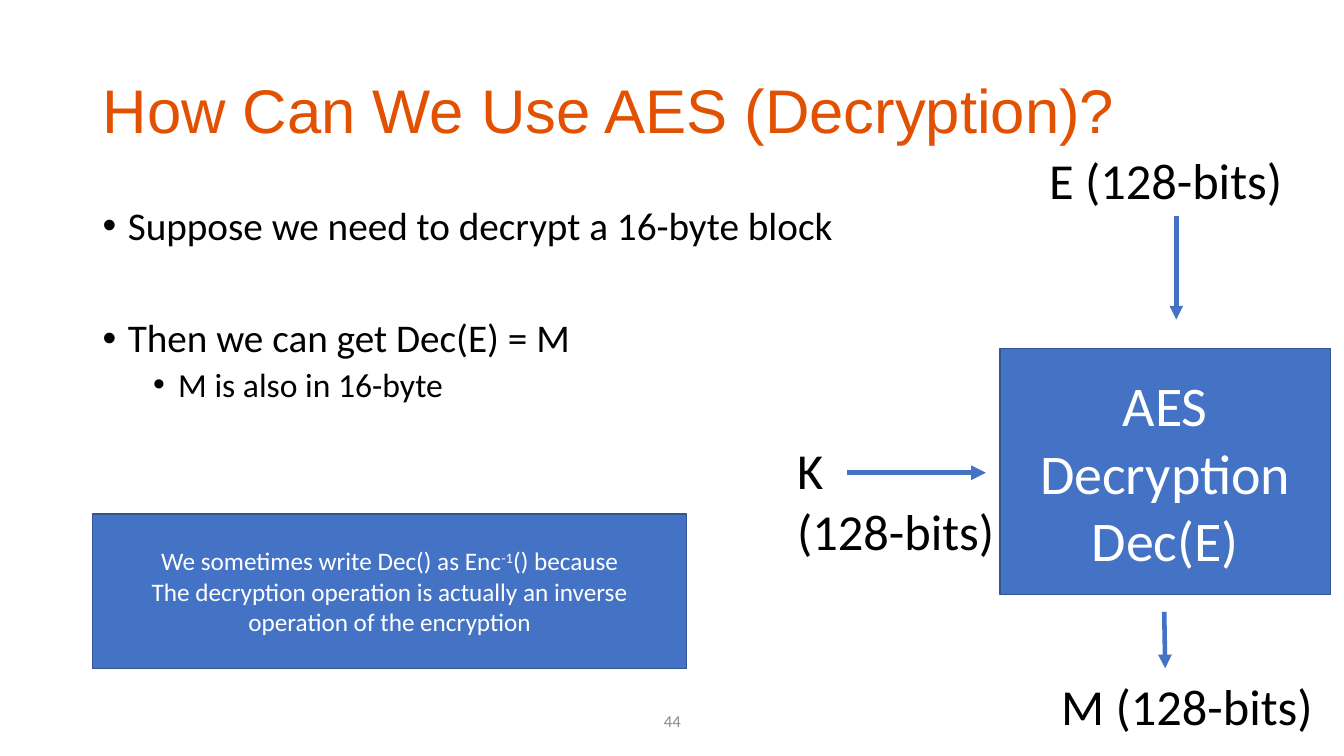
import pptx
import pptx.util
import pptx.dml.color
import pptx.enum.shapes
import pptx.enum.text
import pptx.oxml.ns
import lxml.etree

Pt = pptx.util.Pt
ALIGN = pptx.enum.text.PP_ALIGN
ANCHOR = pptx.enum.text.MSO_ANCHOR
qn = pptx.oxml.ns.qn
BLUE, BORDER, ORANGE = "4472C4", "325491", "E15101"


def color(hex_text):
    return pptx.dml.color.RGBColor.from_string(hex_text)


def write(frame, text, size=36, font="Calibri", ink="000000", align=ALIGN.LEFT,
          anchor=ANCHOR.TOP, wrap=True, spacing=None, before=None, bullet_indent=None):
    """Fill a frame, one paragraph per line; text between ^ marks is superscript."""
    frame.word_wrap = wrap
    frame.vertical_anchor = anchor
    for line in text.split("\n"):
        paragraph = frame.paragraphs[0]
        if paragraph.runs:
            paragraph = frame.add_paragraph()
        paragraph.alignment = align
        paragraph.line_spacing = spacing
        paragraph.space_before = before
        for index, part in enumerate(line.split("^")):
            run = paragraph.add_run()
            run.text = part
            run.font.size = Pt(size)
            run.font.name = font
            run.font.color.rgb = color(ink)
            if index % 2:
                run._r.get_or_add_rPr().set("baseline", "30000")
        if bullet_indent:
            properties = paragraph._p.get_or_add_pPr()
            properties.set("marL", str(Pt(bullet_indent)))
            properties.set("indent", str(-Pt(18)))
            lxml.etree.SubElement(properties, qn("a:buFont")).set("typeface", "Arial")
            lxml.etree.SubElement(properties, qn("a:buChar")).set("char", "•")


deck = pptx.Presentation()
deck.slide_width, deck.slide_height = Pt(960), Pt(540)
slide = deck.slides.add_slide(deck.slide_layouts[6])
shapes = slide.shapes

# Title
title = shapes.add_textbox(Pt(66.24), Pt(28.8), Pt(828), Pt(104.4))
write(title.text_frame, "How Can We Use AES (Decryption)?", size=44, font="Arial",
      ink=ORANGE, anchor=ANCHOR.MIDDLE, spacing=0.9)

# Bullet points
points = shapes.add_textbox(Pt(66.24), Pt(144), Pt(828), Pt(342.72))
for point, size, before, indent in [
    ("Suppose we need to decrypt a 16-byte block", 28, 10, 18),
    ("Then we can get Dec(E) = M", 28, 50, 18),
    ("M is also in 16-byte", 24, 5, 54),
]:
    write(points.text_frame, point, size=size, spacing=0.9, before=Pt(before),
          bullet_indent=indent)

# Slide number
number = shapes.add_textbox(Pt(372.24), Pt(500.4), Pt(216), Pt(28.8))
write(number.text_frame, "44", size=12, ink="8C8C8C", align=ALIGN.CENTER,
      anchor=ANCHOR.MIDDLE)

# Decryption block and note on notation
for text, size, left, top, width, height in [
    ("AES\nDecryption\nDec(E)", 40, 714.24, 249.12, 236.16, 175.68),
    ("We sometimes write Dec() as Enc^-1^() because\n"
     "The decryption operation is actually an inverse operation of the encryption",
     18, 66.24, 367.2, 424.08, 110.16),
]:
    block = shapes.add_shape(pptx.enum.shapes.MSO_SHAPE.RECTANGLE,
                             Pt(left), Pt(top), Pt(width), Pt(height))
    block.shadow.inherit = False
    block.fill.solid()
    block.fill.fore_color.rgb = color(BLUE)
    block.line.color.rgb = color(BORDER)
    block.line.width = Pt(1)
    write(block.text_frame, text, size=size, ink="FFFFFF", align=ALIGN.CENTER,
          anchor=ANCHOR.MIDDLE)

# Key, input and output labels
for text, left, top, width, height in [
    ("K\n(128-bits)", 562.32, 310.32, 156.96, 94.32),
    ("E (128-bits)", 742.32, 102.96, 182.88, 51.12),
    ("M (128-bits)", 750.96, 478.8, 195.84, 51.12),
]:
    label = shapes.add_textbox(Pt(left), Pt(top), Pt(width), Pt(height))
    write(label.text_frame, text, wrap=False)

# Arrows into and out of the block
for x1, y1, x2, y2, weight in [
    (604.8, 337.68, 704.16, 337.68, 3.5),
    (840.24, 154.08, 840.24, 228.24, 3.25),
    (831.6, 437.04, 832.32, 477.36, 3.25),
]:
    arrow = shapes.add_connector(pptx.enum.shapes.MSO_CONNECTOR.STRAIGHT,
                                 Pt(x1), Pt(y1), Pt(x2), Pt(y2))
    arrow.line.color.rgb = color(BLUE)
    arrow.line.width = Pt(weight)
    lxml.etree.SubElement(arrow.line._get_or_add_ln(), qn("a:tailEnd")).set("type", "triangle")
    lxml.etree.SubElement(arrow._element.spPr, qn("a:effectLst"))

deck.save("out.pptx")
